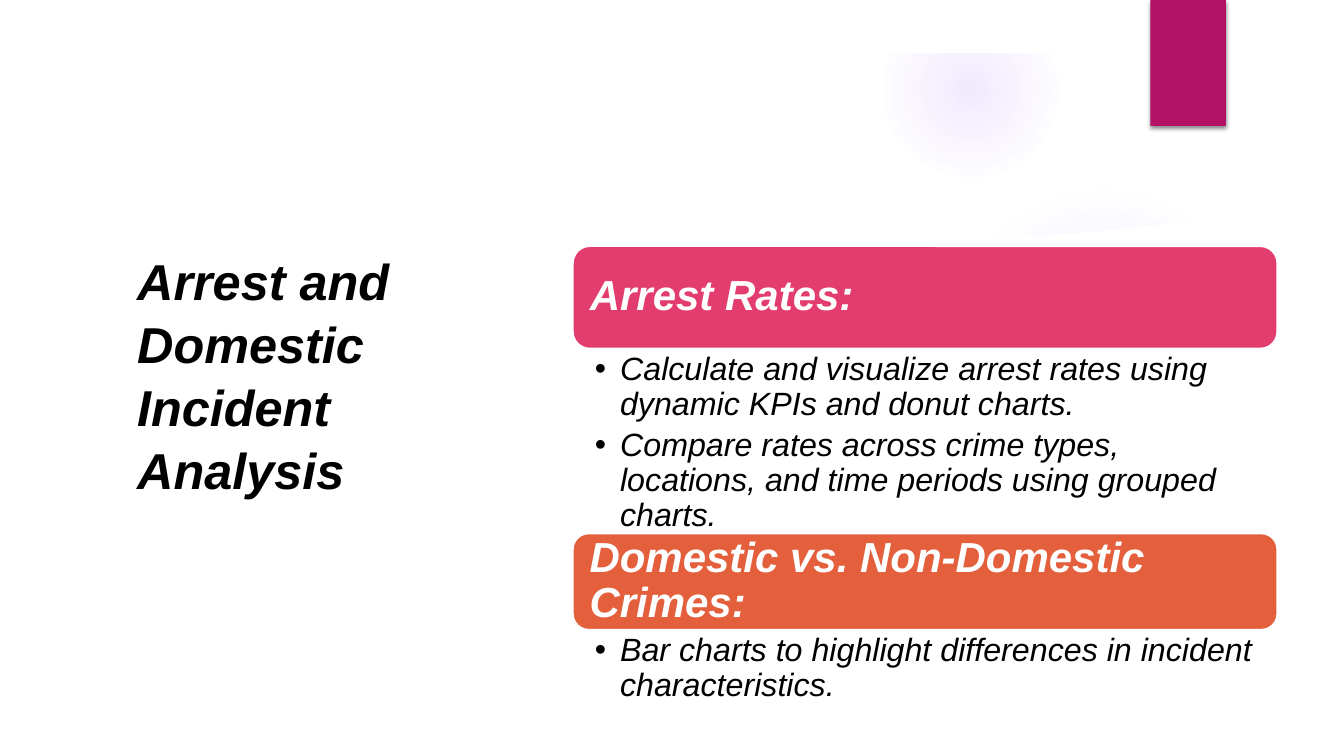
from lxml.etree import SubElement
from pptx import Presentation
from pptx.dml.color import RGBColor
from pptx.enum.shapes import MSO_SHAPE
from pptx.enum.text import MSO_ANCHOR, MSO_AUTO_SIZE, PP_ALIGN
from pptx.oxml import parse_xml
from pptx.oxml.ns import nsdecls, qn
from pptx.util import Inches, Pt

BLACK = RGBColor(0x00, 0x00, 0x00)
WHITE = RGBColor(0xFF, 0xFF, 0xFF)
MAGENTA = RGBColor(0xB3, 0x11, 0x66)
PINK = RGBColor(0xE3, 0x3D, 0x6F)
ORANGE = RGBColor(0xE4, 0x5F, 0x3C)
VIOLET = RGBColor(0x9B, 0x6B, 0xF2)

LIST_LEFT, LIST_WIDTH = 5.68, 6.99
PANEL_OUTLINE = [
    (0.5, 2.04), (2.16, 2.24), (4.01, 2.38), (5.59, 2.46), (7.08, 2.48),
    (8.67, 2.45), (10.04, 2.37), (11.16, 2.27), (12, 2.17), (12.84, 2.04),
    (12.84, 7), (0.5, 7),
]
SECTIONS = [
    (2.44, 1.02, 1.82, PINK, "Arrest Rates:", [
        "Calculate and visualize arrest rates using dynamic KPIs and donut charts.",
        "Compare rates across crime types, locations, and time periods using grouped charts.",
    ]),
    (5.29, 0.96, 0.75, ORANGE, "Domestic vs. Non-Domestic Crimes:", [
        "Bar charts to highlight differences in incident characteristics.",
    ]),
]


class SlideBuilder:
    """Holds the text style and the slide, and adds each kind of element."""

    font_name = "Arial"

    def __init__(self, slide):
        self.slide = slide

    def style(self, paragraph, size, color, bold, spacing):
        paragraph.alignment = PP_ALIGN.LEFT
        paragraph.line_spacing = spacing
        for run in paragraph.runs:
            font = run.font
            font.name, font.size, font.bold, font.italic = self.font_name, Pt(size), bold, True
            font.color.rgb = color

    def title(self, text, left, top, width, height):
        title = self.slide.shapes.title
        title.left, title.top = Inches(left), Inches(top)
        title.width, title.height = Inches(width), Inches(height)
        frame = title.text_frame
        frame.text = text
        frame.word_wrap = True
        frame.auto_size = MSO_AUTO_SIZE.NONE
        frame.vertical_anchor = MSO_ANCHOR.MIDDLE
        self.style(frame.paragraphs[0], 36, BLACK, True, 1.04)
        self.slide.shapes._spTree.append(title._element)

    def paint(self, shape, color):
        shape.shadow.inherit = False
        shape.fill.solid()
        shape.fill.fore_color.rgb = color
        shape.line.fill.background()
        return shape

    def block(self, kind, left, top, width, height, color):
        shape = self.slide.shapes.add_shape(
            kind, Inches(left), Inches(top), Inches(width), Inches(height))
        return self.paint(shape, color)

    def glow(self, left, top, size, stops):
        glow = self.block(MSO_SHAPE.OVAL, left, top, size, size, VIOLET)
        gradient_stops = "".join(
            f'<a:gs pos="{place * 1000}"><a:srgbClr val="{VIOLET}">'
            f'<a:alpha val="{alpha * 1000}"/></a:srgbClr></a:gs>'
            for place, alpha in stops)
        gradient = parse_xml(
            f'<a:gradFill {nsdecls("a")} rotWithShape="1"><a:gsLst>{gradient_stops}</a:gsLst>'
            '<a:path path="circle"><a:fillToRect l="50000" t="50000" r="50000" b="50000"/>'
            '</a:path></a:gradFill>')
        properties = glow._element.spPr
        properties.replace(properties.find(qn("a:solidFill")), gradient)

    def panel(self, outline):
        points = [(Inches(x), Inches(y)) for x, y in outline]
        builder = self.slide.shapes.build_freeform(*points[0])
        builder.add_line_segments(points[1:], close=True)
        self.paint(builder.convert_to_shape(), WHITE)

    def ribbon(self, left, top, width, height):
        ribbon = self.block(MSO_SHAPE.RECTANGLE, left, top, width, height, MAGENTA)
        effects = ribbon._element.spPr.find(qn("a:effectLst"))
        shadow = SubElement(effects, qn("a:outerShdw"), blurRad=str(Pt(3)),
                            dist=str(Pt(2)), dir="5400000", rotWithShape="0")
        shade = SubElement(shadow, qn("a:srgbClr"), val=str(BLACK))
        SubElement(shade, qn("a:alpha"), val="45000")

    def heading(self, text, top, height, color):
        heading = self.block(
            MSO_SHAPE.ROUNDED_RECTANGLE, LIST_LEFT, top, LIST_WIDTH, height, color)
        heading.line.color.rgb = WHITE
        heading.line.width = Pt(1.5)
        frame = heading.text_frame
        frame.text = text
        frame.word_wrap = True
        frame.vertical_anchor = MSO_ANCHOR.MIDDLE
        frame.margin_left = frame.margin_right = Inches(0.12)
        frame.margin_top = frame.margin_bottom = 0
        self.style(frame.paragraphs[0], 30, WHITE, True, 0.9)

    def bullets(self, items, top, height):
        box = self.slide.shapes.add_textbox(
            Inches(LIST_LEFT), Inches(top), Inches(LIST_WIDTH), Inches(height))
        frame = box.text_frame
        frame.text = "\n".join(items)
        frame.word_wrap = True
        frame.margin_left, frame.margin_right = Inches(0.22), Inches(0.23)
        frame.margin_top = frame.margin_bottom = Inches(0.04)
        for paragraph in frame.paragraphs:
            paragraph.level = 1
            self.style(paragraph, 23, BLACK, False, 0.9)
            paragraph.space_after = Pt(4.6)
            properties = paragraph._p.get_or_add_pPr()
            properties.set("marL", str(Inches(0.25)))
            properties.set("indent", str(-Inches(0.25)))
            SubElement(properties, qn("a:buFont"), typeface=self.font_name)
            SubElement(properties, qn("a:buChar"), char="•")


def main():
    deck = Presentation()
    deck.slide_width, deck.slide_height = Inches(13.33), Inches(7.5)
    builder = SlideBuilder(deck.slides.add_slide(deck.slide_layouts[5]))

    builder.glow(9.41, 1.83, 3.08, [(0, 7), (36, 6), (69, 0), (100, 0)])
    builder.glow(8.75, 0.01, 1.75, [(0, 14), (36, 7), (73, 0), (100, 0)])
    builder.panel(PANEL_OUTLINE)
    border = builder.block(MSO_SHAPE.FRAME, 0, 0, 13.33, 7.5, WHITE)
    border.adjustments[0] = 0.07
    builder.ribbon(11.41, 0, 0.75, 1.25)

    builder.title("Arrest and Domestic Incident Analysis", 1.26, 1.06, 3.22, 5.29)
    for top, heading_height, list_height, color, heading, items in SECTIONS:
        builder.heading(heading, top, heading_height, color)
        builder.bullets(items, top + heading_height, list_height)

    deck.save("out.pptx")


if __name__ == "__main__":
    main()
